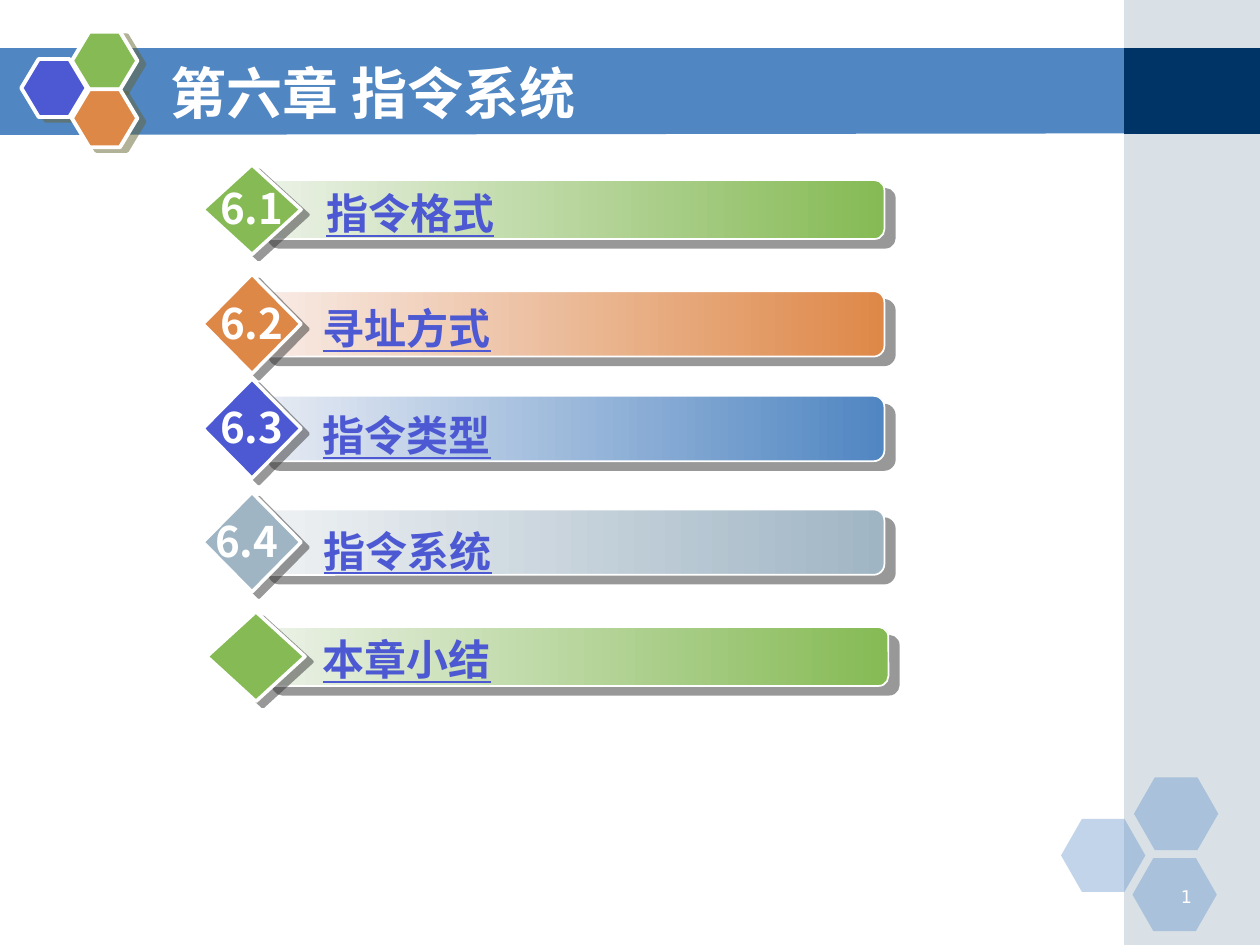
from dataclasses import dataclass

from lxml import etree
from pptx import Presentation
from pptx.dml.color import RGBColor
from pptx.enum import shapes, text
from pptx.oxml.ns import qn
from pptx.util import Cm, Pt

COLORS = {
    "blue": "5086C2", "navy": "003366", "gray": "A0B5C4", "violet": "4C59D2",
    "green": "85BA54", "orange": "DE8848", "white": "FFFFFF",
    "pale_green": "ECF2E8", "pale_orange": "F8ECE7", "pale_blue": "E8ECF4",
    "pale_gray": "EFF2F4", "olive": "666633", "charcoal": "333333",
}
FONT = "Noto Sans CJK SC"
KIND = shapes.MSO_SHAPE
ALIGN = text.PP_ALIGN
BAR_WIDTH, BAR_OFFSET = 12.62, 1.12
DIAMOND_WIDTH, DIAMOND_RATIO = 1.98, 1.52
LABEL_HEIGHT = 1.27


@dataclass
class Section:
    number: str
    title: str
    color: str
    pale: str
    bar_color: str
    left: float
    top: float
    height: float
    label_left: float
    label_top: float
    number_left: float = 4.19


@dataclass
class Shadow:
    color: str
    distance: float
    angle: int


HEX_SHADOW = Shadow("olive", 4.5, 27)
BAR_SHADOW = Shadow("charcoal", 7.8, 40)
DIAMOND_SHADOW = Shadow("charcoal", 5, 37)

SECTIONS = [
    Section("6.1", "指令格式", "green", "pale_green", "green", 4.09, 3.63, 1.19, 5.94, 3.66),
    Section("6.2", "寻址方式", "orange", "pale_orange", "orange", 4.09, 5.87, 1.32, 5.87, 5.97),
    Section("6.3", "指令类型", "violet", "pale_blue", "blue", 4.09, 7.98, 1.32, 5.87, 8.13),
    Section("6.4", "指令系统", "gray", "pale_gray", "gray", 4.09, 10.27, 1.32, 5.89, 10.46, 4.09),
    Section("", "本章小结", "green", "pale_green", "green", 4.17, 12.64, 1.19, 5.87, 12.65),
]


def rgb(name: str) -> RGBColor:
    return RGBColor.from_string(COLORS[name])


def set_alpha(parent, percent: int) -> None:
    for clr in parent.iter(qn("a:srgbClr")):
        etree.SubElement(clr, qn("a:alpha")).set("val", str(percent * 1000))


def add_shadow(sp, shadow: Shadow) -> None:
    effects = sp._element.spPr.find(qn("a:effectLst"))
    outer = etree.SubElement(effects, qn("a:outerShdw"), blurRad="0",
                             dist=str(Pt(shadow.distance)),
                             dir=str(shadow.angle * 60000),
                             algn="ctr", rotWithShape="0")
    etree.SubElement(outer, qn("a:srgbClr"), val=COLORS[shadow.color])
    set_alpha(outer, 50)


def paint(sp, fill: str, line: float = 0, shadow: Shadow | None = None, alpha: int = 100) -> None:
    sp.shadow.inherit = False
    sp.fill.solid()
    sp.fill.fore_color.rgb = rgb(fill)
    if alpha < 100:
        set_alpha(sp._element.spPr.find(qn("a:solidFill")), alpha)
    if line:
        sp.line.color.rgb = rgb("white")
        sp.line.width = Pt(line)
    else:
        sp.line.fill.background()
    if shadow:
        add_shadow(sp, shadow)


def add_box(s, kind, left: float, top: float, width: float, height: float):
    return s.shapes.add_shape(kind, Cm(left), Cm(top), Cm(width), Cm(height))


def add_hexagon(s, left: float, top: float, width: float, height: float, adj: float):
    sp = add_box(s, KIND.HEXAGON, left, top, width, height)
    sp.adjustments[0] = adj
    return sp


def style(p, size: float, color: str, bold: bool = True, font: str = FONT) -> None:
    p.font.size = Pt(size)
    p.font.bold = bold
    p.font.name = font
    p.font.color.rgb = rgb(color)
    etree.SubElement(p.font._element, qn("a:ea")).set("typeface", font)


def add_text(s, words: str, left: float, top: float, width: float, height: float):
    tf = s.shapes.add_textbox(Cm(left), Cm(top), Cm(width), Cm(height)).text_frame
    tf.word_wrap = True
    tf.paragraphs[0].text = words
    return tf


def add_frame(s) -> None:
    # Title band and right-hand column
    corners = [(22.73, 0.97), (22.73, 2.69), (-0.03, 2.72)]
    builder = s.shapes.build_freeform(Cm(-0.03), Cm(0.97))
    builder.add_line_segments([(Cm(x), Cm(y)) for x, y in corners], close=True)
    paint(builder.convert_to_shape(), "blue")
    paint(add_box(s, KIND.RECTANGLE, 22.66, 0, 2.74, 19.05), "gray", alpha=40)
    paint(add_box(s, KIND.RECTANGLE, 22.66, 0.97, 2.74, 1.73), "navy")

    # Hexagon clusters
    for left, top in [(21.39, 16.51), (22.86, 15.67), (22.83, 17.3)]:
        paint(add_hexagon(s, left, top, 1.7, 1.47, 0.286), "blue", alpha=35)
    for left, top, color in [(0.43, 1.19, "violet"), (1.45, 0.64, "green"), (1.45, 1.8, "orange")]:
        paint(add_hexagon(s, left, top, 1.32, 1.17, 0.3), color, 2.25, HEX_SHADOW)


def add_slide_number(s) -> None:
    p = add_text(s, "", 23.01, 17.73, 1.27, 0.64).paragraphs[0]
    p.alignment = ALIGN.RIGHT
    style(p, 10, "white", False, "DejaVu Sans")
    field = etree.SubElement(p._p, qn("a:fld"), type="slidenum",
                             id="{5B1C7A52-3D0E-4F6B-9A58-2C7E1D904B36}")
    r_pr = etree.SubElement(field, qn("a:rPr"), lang="zh-CN", sz="1000")
    fill = etree.SubElement(r_pr, qn("a:solidFill"))
    etree.SubElement(fill, qn("a:srgbClr"), val=COLORS["white"])
    etree.SubElement(r_pr, qn("a:latin"), typeface="DejaVu Sans")
    etree.SubElement(field, qn("a:t")).text = "2"


def add_section(s, sec: Section) -> None:
    middle = sec.top + sec.height / 2

    # Gradient bar
    bar = add_box(s, KIND.ROUNDED_RECTANGLE, sec.left + BAR_OFFSET, sec.top, BAR_WIDTH, sec.height)
    paint(bar, sec.bar_color, 1, BAR_SHADOW)
    bar.fill.gradient()
    bar.fill.gradient_angle = 0
    for stop, color, position in zip(bar.fill.gradient_stops, (sec.pale, sec.bar_color), (0, 1)):
        stop.color.rgb = rgb(color)
        stop.position = position

    # Diamond with the section number
    height = sec.height * DIAMOND_RATIO
    diamond = add_box(s, KIND.DIAMOND, sec.left, middle - height / 2, DIAMOND_WIDTH, height)
    paint(diamond, sec.color, 2, DIAMOND_SHADOW)
    if sec.number:
        tf = add_text(s, sec.number, sec.number_left, middle - LABEL_HEIGHT / 2 - 0.03,
                      1.8, LABEL_HEIGHT)
        tf.word_wrap = False
        style(tf.paragraphs[0], 24, "white")

    # Section title
    tf = add_text(s, sec.title, sec.label_left, sec.label_top, 9.96, LABEL_HEIGHT)
    tf.margin_left = Cm(0.64)
    p = tf.paragraphs[0]
    style(p, 24, "violet")
    p.font.underline = True


def main() -> None:
    prs = Presentation()
    prs.slide_width, prs.slide_height = Cm(25.4), Cm(19.05)
    s = prs.slides.add_slide(prs.slide_layouts[5])
    add_frame(s)
    add_slide_number(s)

    # Title, moved in front of its band
    title = s.shapes.title
    title.left, title.top, title.width, title.height = Cm(3.18), Cm(1.07), Cm(18.62), Cm(1.57)
    s.shapes._spTree.append(title._element)
    tf = title.text_frame
    tf.vertical_anchor = text.MSO_ANCHOR.MIDDLE
    p = tf.paragraphs[0]
    p.text = "第六章 指令系统"
    p.alignment = ALIGN.LEFT
    style(p, 32, "white")

    for sec in SECTIONS:
        add_section(s, sec)
    prs.save("out.pptx")


if __name__ == "__main__":
    main()
